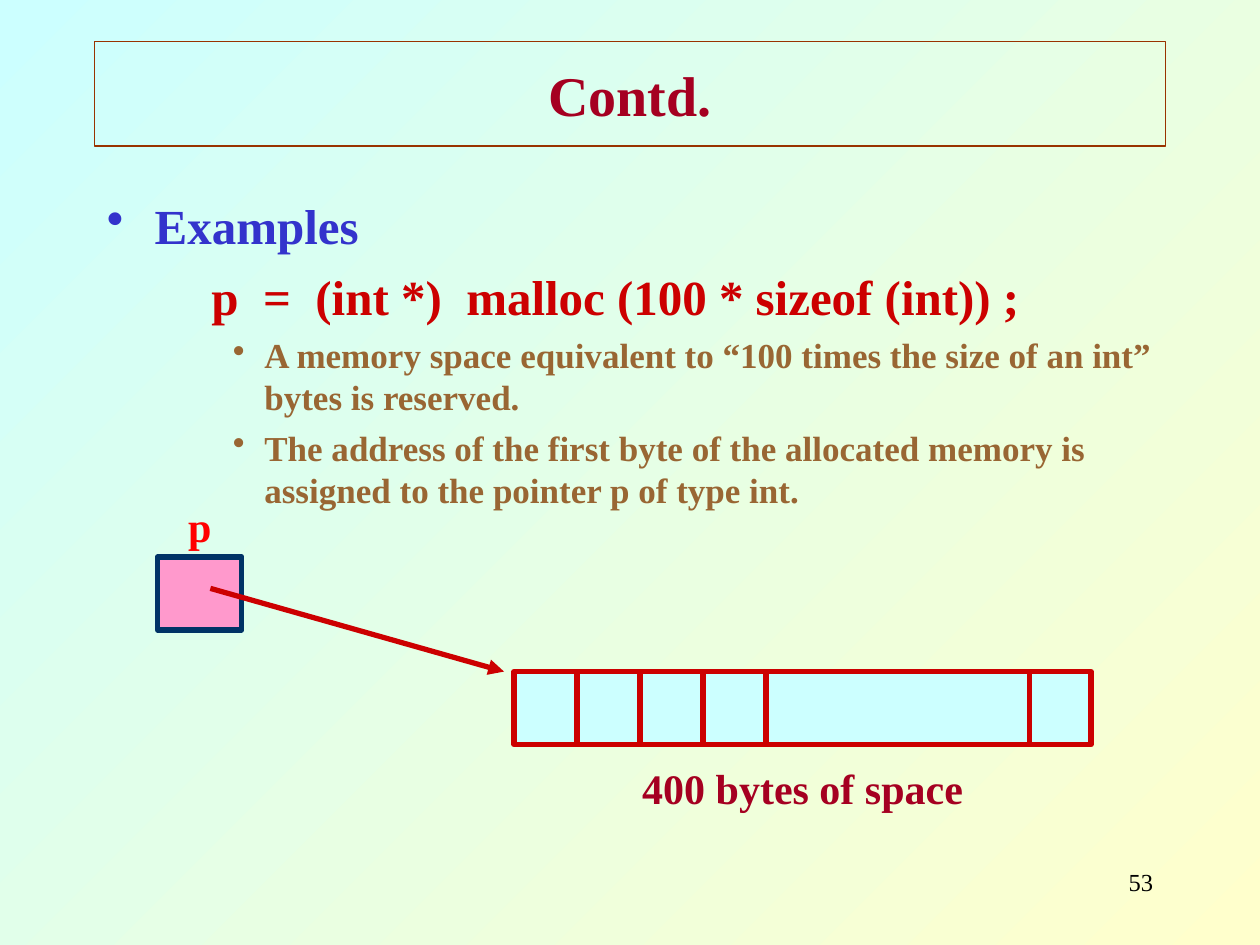
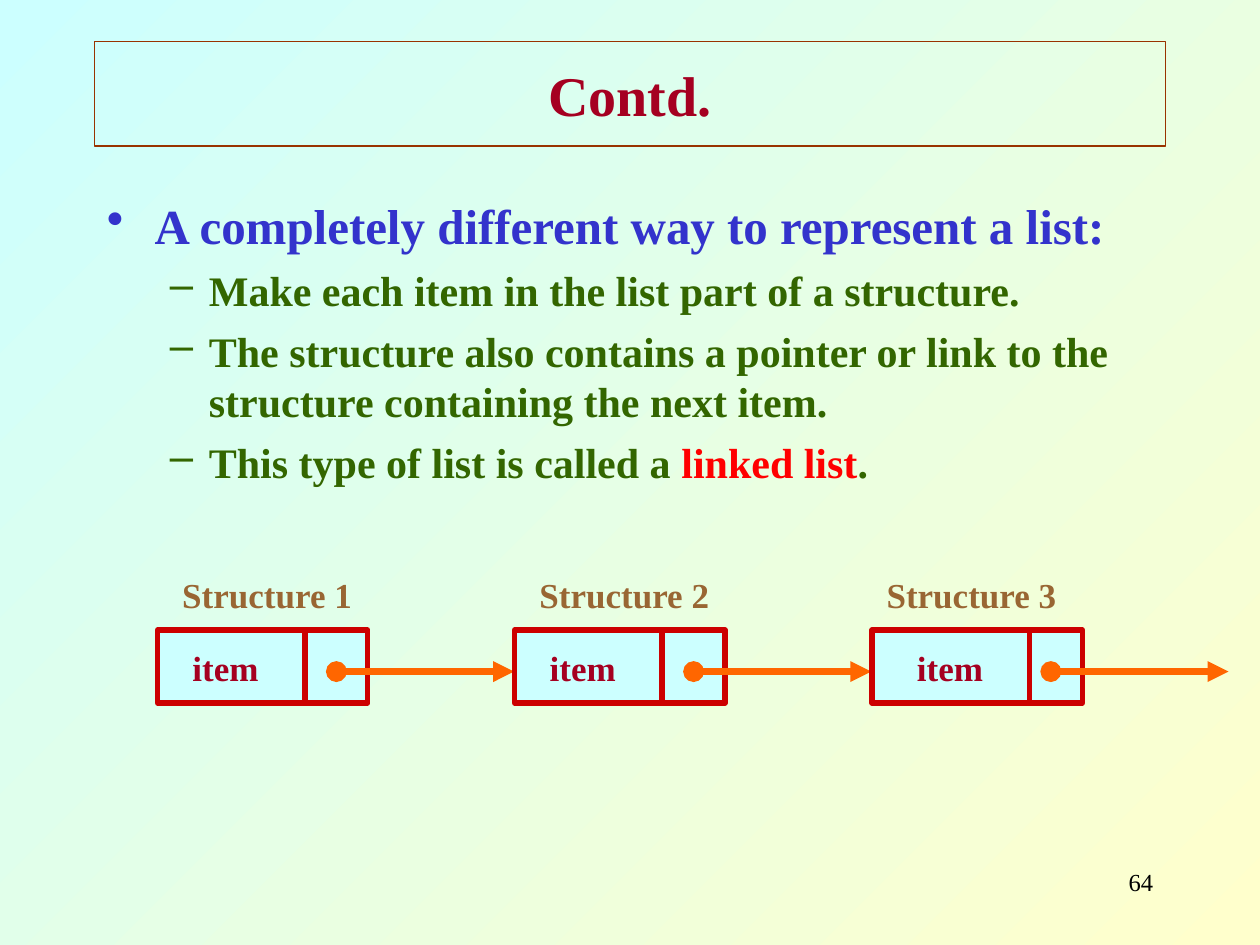
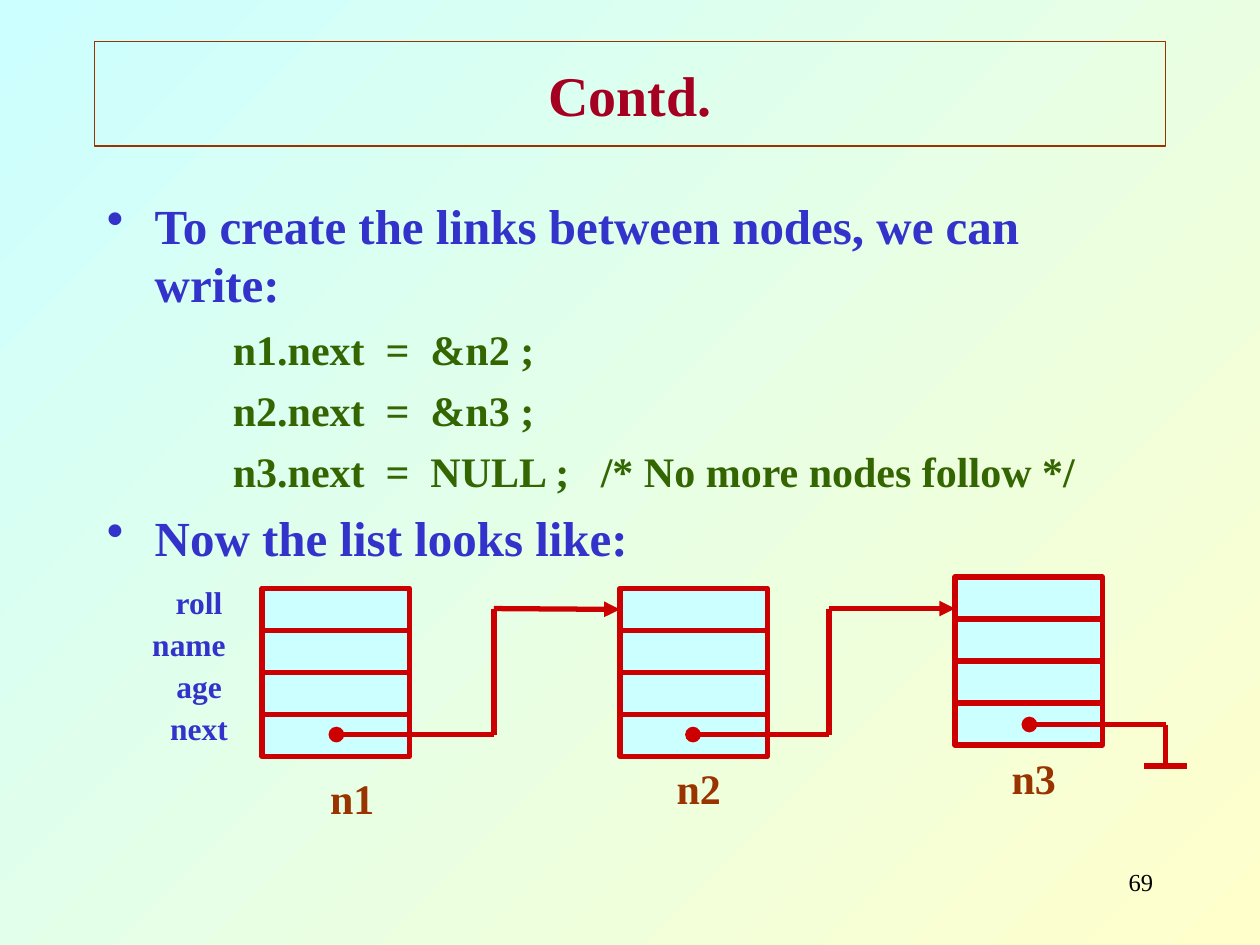
from lxml import etree
from pptx import Presentation
from pptx import util as u
from pptx.dml.color import RGBColor
from pptx.enum import shapes, text
from pptx.oxml.ns import qn

FONT = "Times New Roman"
WINE, BLUE, GREEN, TAN = "A50021", "3333CC", "336600", "996633"
RED, BRIGHT, RUST, ORANGE = "CC0000", "FF0000", "993300", "FF6600"
SKY, CREAM = "CCFFFF", "FFFFCC"
MID, RIGHT = text.PP_ALIGN.CENTER, text.PP_ALIGN.RIGHT
ink = RGBColor.from_string


def put(slide, x, y, w, h, words="", size=24, hue=WINE, fill=None, edge=None,
        wide=3, bold=True, align=MID):
    """Add a rectangle when it has a fill or an edge, else a text box."""
    place = [u.Inches(n) for n in (x, y, w, h)]
    if fill or edge:
        box = slide.shapes.add_shape(shapes.MSO_SHAPE.RECTANGLE, *place)
        box.shadow.inherit = False
        box.line.color.rgb = ink(edge)
        box.line.width = u.Pt(wide)
        if fill:
            box.fill.solid()
            box.fill.fore_color.rgb = ink(fill)
        else:
            box.fill.background()
    else:
        box = slide.shapes.add_textbox(*place)
    if words:
        box.text_frame.word_wrap = True
        para = box.text_frame.paragraphs[0]
        para.text = words
        para.alignment = align
        para.font.name, para.font.size = FONT, u.Pt(size)
        para.font.bold, para.font.color.rgb = bold, ink(hue)
    return box


def link(slide, x1, y1, x2, y2, hue=RED, wide=3, head=None, tail=None):
    """Add a straight line with optional end marks."""
    line = slide.shapes.add_connector(
        shapes.MSO_CONNECTOR.STRAIGHT, *[u.Inches(n) for n in (x1, y1, x2, y2)])
    line.line.color.rgb = ink(hue)
    line.line.width = u.Pt(wide)
    props = line._element.spPr
    for tag, mark in (("a:headEnd", head), ("a:tailEnd", tail)):
        if mark:
            etree.SubElement(props.find(qn("a:ln")), qn(tag), type=mark)
    etree.SubElement(props, qn("a:effectLst"))
    return line


# Paragraph kinds: margin, indent, bullet, size, colour, space before
kinds = {
    "main": (0.38, -0.38, "•", 28, BLUE, 7),
    "dash": (0.81, -0.31, "–", 24, GREEN, 6),
    "dot": (1.25, -0.25, "•", 20, TAN, 5),
    "call": (0.83, 0, None, 28, RED, 7),
    "code": (1, 0, None, 24, GREEN, 6),
}

# Slide number and body; a part between bars is bright red
pages = [
    ("53", [
        ("main", "Examples"),
        ("call", "p  =  (int *)  malloc (100 * sizeof (int)) ;"),
        ("dot", "A memory space equivalent to “100 times the size of an int” "
                "bytes is reserved."),
        ("dot", "The address of the first byte of the allocated memory is "
                "assigned to the pointer p of type int."),
    ]),
    ("64", [
        ("main", "A completely different way to represent a list:"),
        ("dash", "Make each item in the list part of a structure."),
        ("dash", "The structure also contains a pointer or link to the "
                 "structure containing the next item."),
        ("dash", "This type of list is called a |linked list|."),
    ]),
    ("69", [
        ("main", "To create the links between nodes, we can write:"),
        ("code", "n1.next  =  &n2 ;"),
        ("code", "n2.next  =  &n3 ;"),
        ("code", "n3.next  =  NULL ;   /* No more nodes follow */"),
        ("main", "Now the list looks like:"),
    ]),
]

deck = Presentation()
deck.slide_width, deck.slide_height = u.Inches(10), u.Inches(7.5)

# Shared frame: background, title, body and number
for num, body in pages:
    slide = deck.slides.add_slide(deck.slide_layouts[6])
    back = slide.background.fill
    back.gradient()
    back.gradient_angle = 135
    for stop, hue, spot in zip(back.gradient_stops, (CREAM, SKY), (0, 1)):
        stop.color.rgb, stop.position = ink(hue), spot

    put(slide, 0.75, 0.33, 8.5, 0.83, "Contd.", 32, edge=RUST, wide=0.75)

    frame = put(slide, 0.75, 1.5, 8.5, 5.17).text_frame
    frame.word_wrap = True
    for i, (kind, words) in enumerate(body):
        left, shift, mark, size, hue, gap = kinds[kind]
        para = frame.add_paragraph() if i else frame.paragraphs[0]
        props = para._p.get_or_add_pPr()
        props.set("marL", str(u.Inches(left)))
        props.set("indent", str(u.Inches(shift)))
        if mark:
            tint = etree.SubElement(props, qn("a:buClr"))
            etree.SubElement(tint, qn("a:srgbClr"), val=hue)
            etree.SubElement(props, qn("a:buChar"), char=mark)
        else:
            etree.SubElement(props, qn("a:buNone"))
        para.space_before = u.Pt(gap if i else 0)
        para.font.name, para.font.size = FONT, u.Pt(size)
        para.font.bold, para.font.color.rgb = True, ink(hue)
        for j, part in enumerate(words.split("|")):
            run = para.add_run()
            run.text = part
            if j % 2:
                run.font.color.rgb = ink(BRIGHT)

    put(slide, 7.17, 6.83, 2.08, 0.5, num, 14, "000000", bold=False, align=RIGHT)

heap, chain, nodes = deck.slides

# Slide 1: pointer and the memory it points to
put(heap, 4.08, 5.33, 4.58, 0.58, fill=SKY, edge=RED)
for x in (4.58, 5.08, 5.58, 6.08, 8.17):
    link(heap, x, 5.33, x, 5.92)
put(heap, 1.25, 4.42, 0.67, 0.58, fill="FF99CC", edge="003366")
link(heap, 1.67, 4.67, 4, 5.33, tail="triangle")
put(heap, 1.25, 3.92, 0.67, 0.5, "p", hue=BRIGHT)
put(heap, 4.33, 6, 4.08, 0.5, "400 bytes of space")

# Slide 2: three linked structures; the last one is set out wider
for i in range(3):
    x = 1.25 + i * 2.835
    off = 0.08 if i == 2 else 0
    put(chain, x, 5, 1.67, 0.58, fill=SKY, edge=RED)
    link(chain, x + 1.17 + off, 5, x + 1.17 + off, 5.58)
    link(chain, x + 1.42, 5.33, x + 2.83, 5.33, ORANGE, 4, "oval", "triangle")
    put(chain, x - 0.17 - off, 4.5, 2.08, 0.44, f"Structure {i + 1}", 20, TAN)
    put(chain, x + off, 5.08, 1.08, 0.44, "item", 20)

# Slide 3: nodes of four fields each
row = 1 / 3
tops = []
for name, x, y, tag_x, tag_y in (("n1", 2.08, 4.67, 2.17, 6.08),
                                 ("n2", 4.92, 4.67, 4.92, 6),
                                 ("n3", 7.58, 4.58, 7.58, 5.92)):
    cells = [put(nodes, x, y + k * row, 1.17, row, fill=SKY, edge=RED)
             for k in range(4)]
    tops.append(cells[0])
    put(nodes, tag_x, tag_y, 1.25, 0.5, name, hue=RUST)

# Links from each next field to the following node
for x, turn, end in ((2.67, 3.92, 4.92), (5.5, 6.58, 7.58)):
    link(nodes, x, 5.83, turn, 5.83, head="oval")
    link(nodes, turn, 5.83, turn, 4.83)
    tip = link(nodes, turn, 4.83, end, 4.83, tail="triangle")
    if end == 4.92:
        tip.end_connect(tops[1], 1)

# Null end of the list
link(nodes, 8.17, 5.75, 9.25, 5.75, head="oval")
link(nodes, 9.25, 5.75, 9.25, 6.08)
link(nodes, 9.08, 6.08, 9.42, 6.08)

# Field names
for k, name in enumerate(("roll", "name", "age", "next")):
    x = 0.75 if name == "name" else 0.83
    put(nodes, x, 4.58 + k * row, 1.5, 0.4, name, 18, BLUE)

deck.save("out.pptx")
